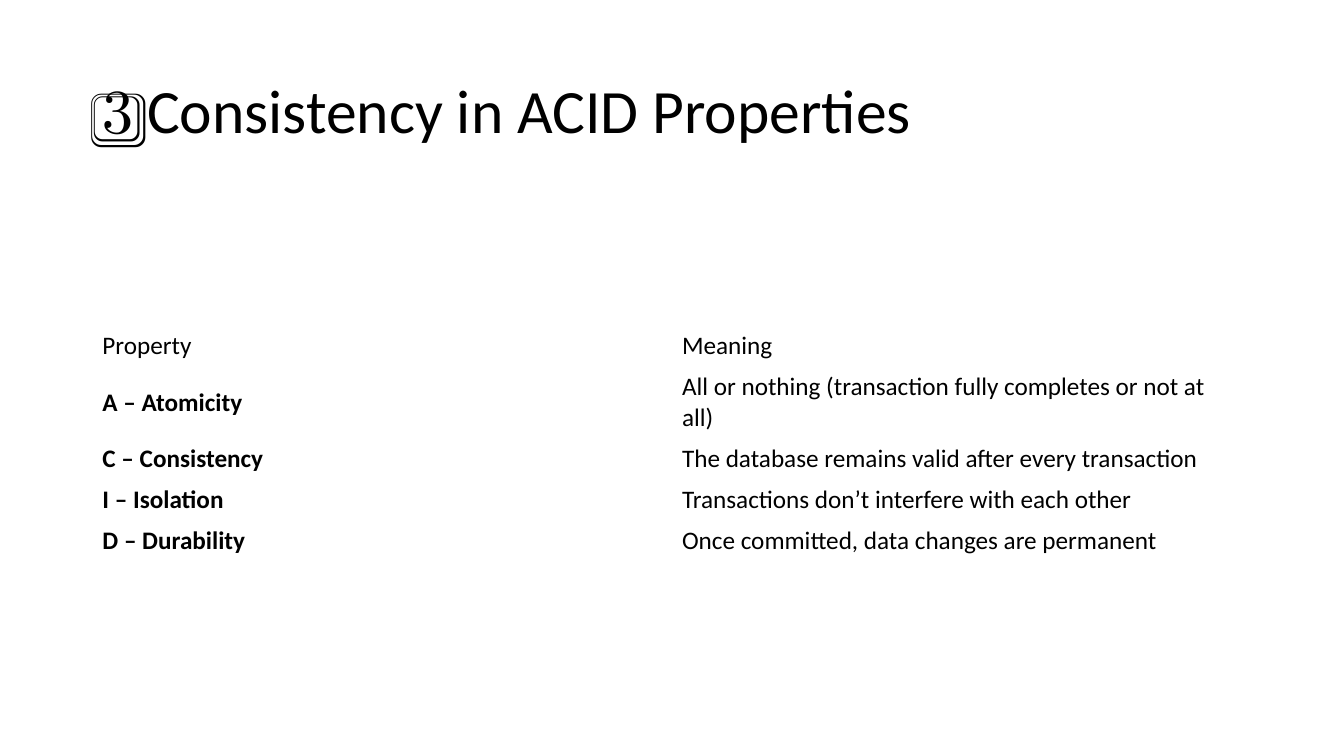
from pptx import Presentation
from pptx.dml.color import RGBColor
from pptx.enum import text
from pptx.util import Pt

FONT = "Calibri"
BLACK = "000000"
WHITE = "FFFFFF"
LEFT = 66
WIDTH = 828
LINE_ROW = 29.2
WRAPPED_ROW = 51.2

PROPERTIES = [
    ("Property", "Meaning"),
    ("A – Atomicity", "All or nothing (transaction fully completes or not at all)"),
    ("C – Consistency", "The database remains valid after every transaction"),
    ("I – Isolation", "Transactions don’t interfere with each other"),
    ("D – Durability", "Once committed, data changes are permanent"),
]


def color(value):
    return RGBColor.from_string(value)


def write(frame, wording, size, bold=False):
    paragraph = frame.paragraphs[0]
    paragraph.text = wording
    paragraph.font.name = FONT
    paragraph.font.size = Pt(size)
    paragraph.font.bold = bold
    paragraph.font.color.rgb = color(BLACK)
    return paragraph


def add_title(slide, wording):
    title = slide.shapes.add_textbox(Pt(LEFT), Pt(28.8), Pt(WIDTH), Pt(104.4))
    frame = title.text_frame
    frame.word_wrap = True
    frame.vertical_anchor = text.MSO_ANCHOR.MIDDLE
    write(frame, wording, 44).line_spacing = 0.9


def add_properties(slide, rows):
    heights = [LINE_ROW] * len(rows)
    heights[1] = WRAPPED_ROW
    properties = slide.shapes.add_table(
        len(rows), 2, Pt(LEFT), Pt(232.6), Pt(WIDTH), Pt(sum(heights))
    ).table
    properties.first_row = False
    properties.horz_banding = False
    for row, (wordings, height) in enumerate(zip(rows, heights)):
        properties.rows[row].height = Pt(height)
        for column, wording in enumerate(wordings):
            cell = properties.cell(row, column)
            cell.fill.background()
            cell.vertical_anchor = text.MSO_ANCHOR.MIDDLE
            write(cell.text_frame, wording, 18, bold=row > 0 and column == 0)


def main():
    deck = Presentation()
    deck.slide_width = Pt(960)
    deck.slide_height = Pt(540)
    slide = deck.slides.add_slide(deck.slide_layouts[6])
    slide.background.fill.solid()
    slide.background.fill.fore_color.rgb = color(WHITE)
    add_title(slide, "3️⃣ Consistency in ACID Properties")
    add_properties(slide, PROPERTIES)
    deck.save("out.pptx")


if __name__ == "__main__":
    main()
